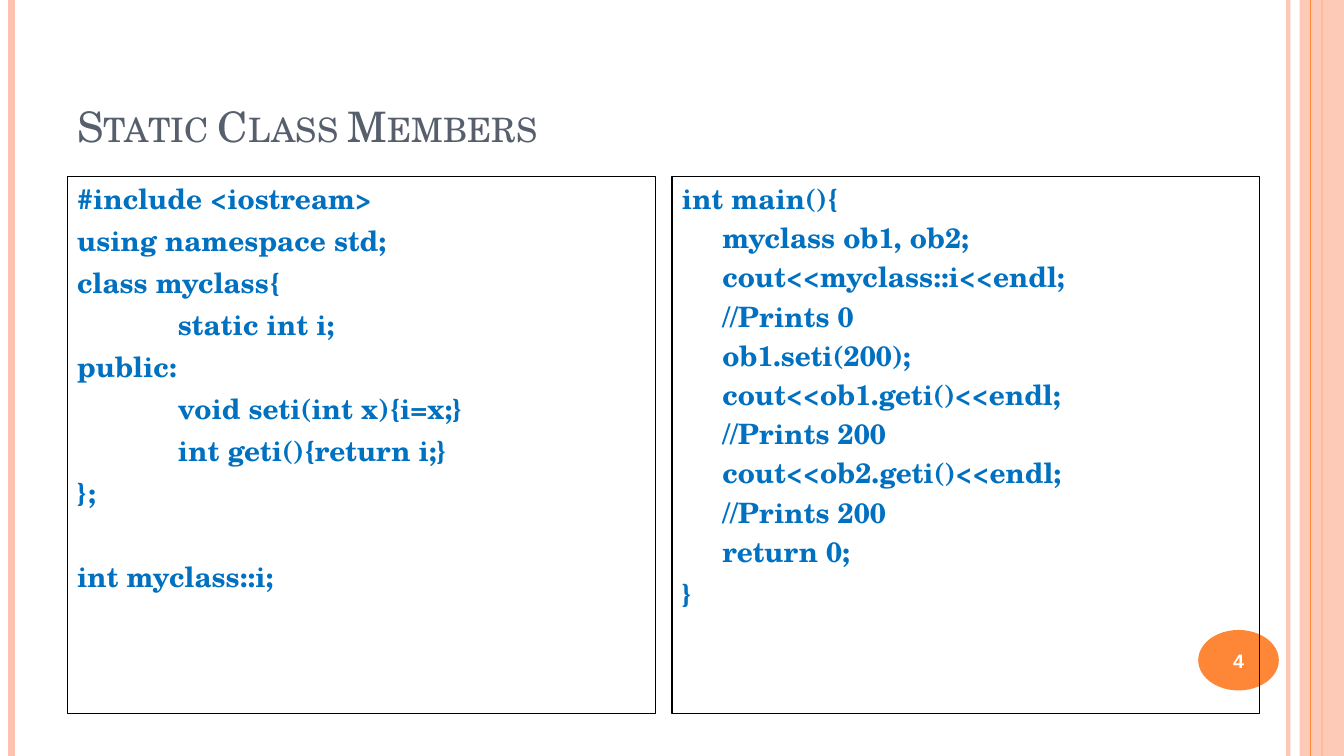
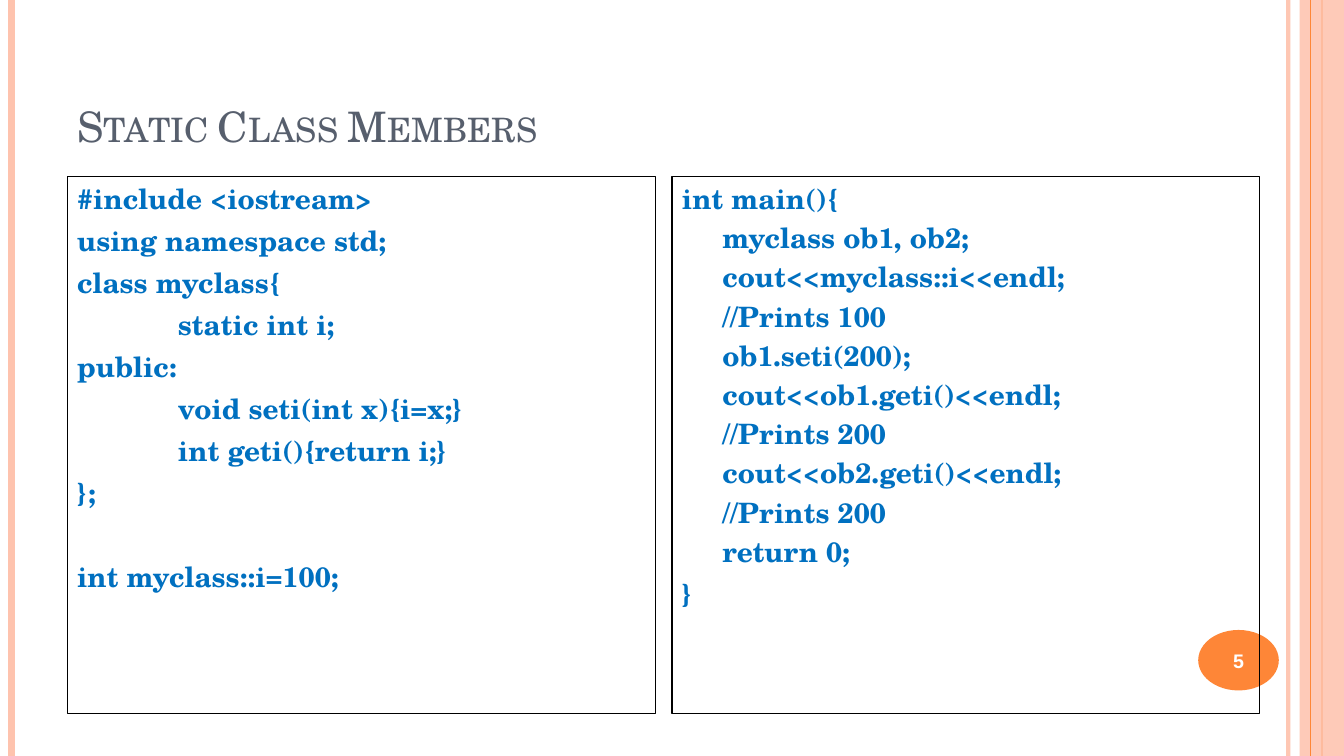
from pptx import Presentation
from pptx.dml.color import RGBColor
from pptx.enum.shapes import MSO_CONNECTOR, MSO_SHAPE
from pptx.enum.text import MSO_ANCHOR, PP_ALIGN
from pptx.oxml.ns import qn
from pptx.util import Inches, Pt
from lxml.etree import SubElement

WIDE, HIGH = 13.33, 7.5
COL, ROW = WIDE / 20, HIGH / 30
PEACH, ORANGE, SLATE, BLUE, BLACK, WHITE = (
    "FEC3AE", "FE8637", "575F6D", "0070C0", "000000", "FFFFFF")
SERIF = "TeX Gyre Schola"

# Text styles
TITLE = {"name": SERIF, "size": Pt(30), "bold": False, "color": SLATE}
CODE = {"name": SERIF, "size": Pt(20), "bold": True, "color": BLUE}
BADGE = {"name": "Arial", "size": Pt(14), "bold": True, "color": WHITE}


def paint(text):
    return RGBColor.from_string(text)


def fade(fill, share):
    """Make a solid fill or line partly clear; share is its opacity in percent."""
    color = next(fill.iter(qn("a:srgbClr")))
    SubElement(color, qn("a:alpha")).set("val", str(share * 1000))


class Deck:
    def __init__(self):
        self.file = Presentation()
        self.file.slide_width, self.file.slide_height = Inches(WIDE), Inches(HIGH)

    def start(self):
        self.slide = self.file.slides.add_slide(self.file.slide_layouts[6])

    def place(self, col, row, cols, rows):
        return [Inches(col * COL), Inches(row * ROW),
                Inches(cols * COL), Inches(rows * ROW)]

    def style(self, run, form):
        for key, value in form.items():
            if key == "color":
                run.font.color.rgb = paint(value)
            else:
                setattr(run.font, key, value)

    def rule(self, col, color, width, share=100):
        x = Inches(col * COL)
        line = self.slide.shapes.add_connector(
            MSO_CONNECTOR.STRAIGHT, x, 0, x, Inches(HIGH))
        line.line.color.rgb = paint(color)
        line.line.width = Pt(width)
        SubElement(line._element.spPr, qn("a:effectLst"))
        if share < 100:
            fade(line._element.spPr, share)

    def shape(self, kind, spot, fill=None, edge=None, share=100):
        item = self.slide.shapes.add_shape(kind, *self.place(*spot))
        item.shadow.inherit = False
        if fill:
            item.fill.solid()
            item.fill.fore_color.rgb = paint(fill)
            if share < 100:
                fade(item._element.spPr, share)
        else:
            item.fill.background()
        if edge:
            item.line.color.rgb = paint(edge)
            item.line.width = Pt(0.75)
        else:
            item.line.fill.background()
        return item

    def title(self, text):
        frame = self.slide.shapes.add_textbox(
            *self.place(1, 1.2, 16.83, 5)).text_frame
        frame.word_wrap = True
        frame.vertical_anchor = MSO_ANCHOR.BOTTOM
        run = frame.paragraphs[0].add_run()
        run.text = text
        self.style(run, TITLE)
        run._r.get_or_add_rPr().set("cap", "small")

    def code(self, col, lines, step, inner, last=6):
        """Box of code; a leading tab indents a line by step inches."""
        box = self.shape(MSO_SHAPE.RECTANGLE, (col, 7, 8.75, 21.33), edge=BLACK)
        frame = box.text_frame
        frame.word_wrap = True
        frame.vertical_anchor = MSO_ANCHOR.TOP
        for i, text in enumerate(lines):
            para = frame.paragraphs[0] if i == 0 else frame.add_paragraph()
            para.alignment = PP_ALIGN.LEFT
            para.space_before = Pt(6)
            if text.startswith("\t"):
                para.space_before = Pt(inner)
                para._p.get_or_add_pPr().set("marL", str(Inches(step)))
            run = para.add_run()
            run.text = text.strip()
            self.style(run, CODE)
        para.space_before = Pt(last)

    def badge(self, page):
        oval = self.shape(MSO_SHAPE.OVAL, (17.83, 25, 1.2, 2.4), fill=ORANGE)
        frame = oval.text_frame
        frame.margin_left = frame.margin_right = 0
        frame.vertical_anchor = MSO_ANCHOR.MIDDLE
        para = frame.paragraphs[0]
        para.alignment = PP_ALIGN.CENTER
        run = para.add_run()
        run.text = str(page)
        self.style(run, BADGE)

    def frame(self, page):
        self.rule(19.17, PEACH, 3, 93)
        self.rule(0.17, PEACH, 4.5)
        self.rule(19.67, ORANGE, 1.5)
        self.shape(MSO_SHAPE.RECTANGLE, (19.34, 0, 0.66, 30), PEACH, share=87)
        self.rule(19.5, ORANGE, 0.75)
        self.badge(page)


# Code shown on both slides
HEAD = ["#include <iostream>", "using namespace std;", "class myclass{",
        "\tstatic int i;", "public:", "\tvoid seti(int x){i=x;}",
        "\tint geti(){return i;}", "};"]


def main_code(first):
    return ["int main(){", "\tmyclass ob1, ob2;", "\tcout<<myclass::i<<endl;",
            f"\t//Prints {first}", "\tob1.seti(200);",
            "\tcout<<ob1.geti()<<endl;", "\t//Prints 200",
            "\tcout<<ob2.geti()<<endl;", "\t//Prints 200", "\treturn 0;", "}"]


# Slides: page number, start of i, first value printed
deck = Deck()
for page, init, first in [(4, "", 0), (5, "=100", 100)]:
    deck.start()
    deck.frame(page)
    deck.title("Static Class Members")
    deck.code(1, HEAD + [f"int myclass::i{init};"], step=1, inner=6, last=36)
    deck.code(10, main_code(first), step=0.4, inner=4)

deck.file.save("out.pptx")
